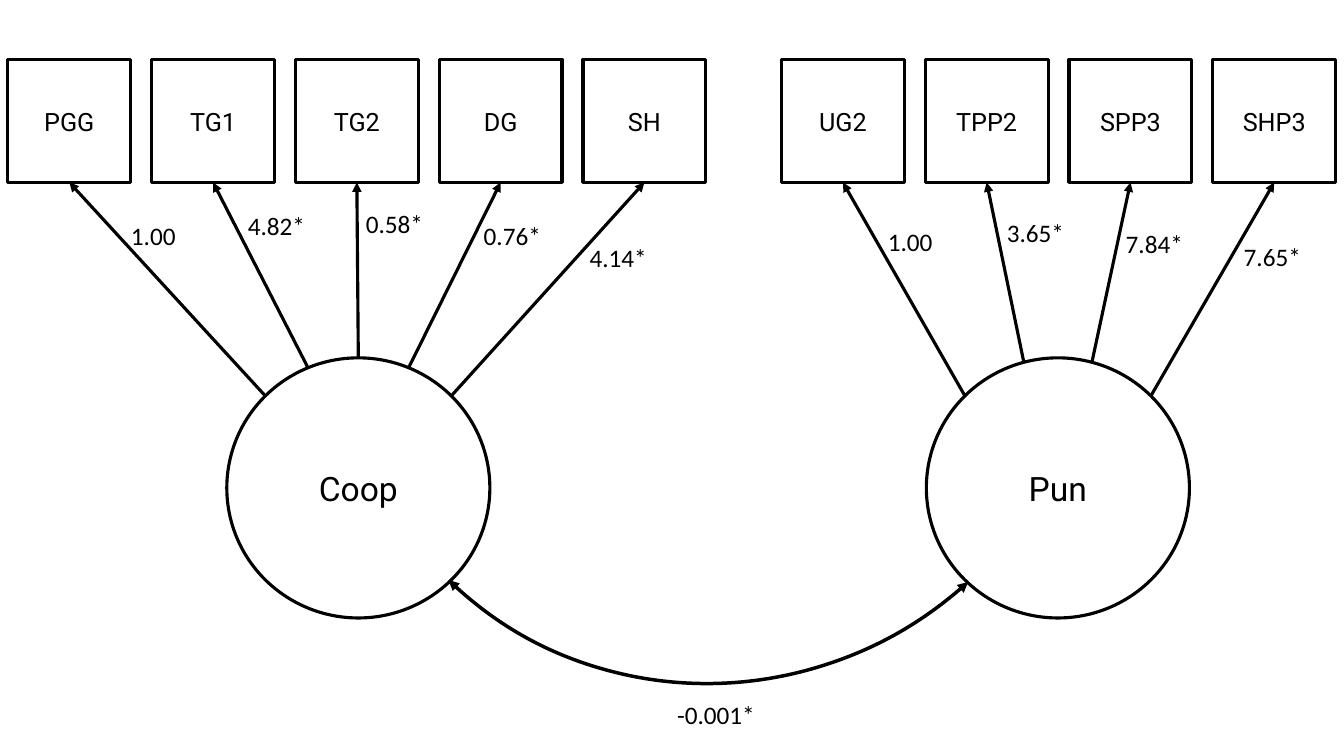
"""Build a two-factor path diagram of cooperation and punishment games."""
from math import cos, radians, sin

from pptx import Presentation
from pptx.dml.color import RGBColor
from pptx.enum.shapes import MSO_CONNECTOR, MSO_SHAPE
from pptx.enum.text import MSO_ANCHOR, MSO_AUTO_SIZE, PP_ALIGN
from pptx.oxml.ns import qn
from pptx.util import Pt
from lxml import etree

BLACK = RGBColor(0x00, 0x00, 0x00)
WHITE = RGBColor(0xFF, 0xFF, 0xFF)
RECTANGLE, OVAL, ARC = MSO_SHAPE.RECTANGLE, MSO_SHAPE.OVAL, MSO_SHAPE.ARC
STRAIGHT = MSO_CONNECTOR.STRAIGHT
MIDDLE, CENTER = MSO_ANCHOR.MIDDLE, PP_ALIGN.CENTER
FIT_TEXT = MSO_AUTO_SIZE.SHAPE_TO_FIT_TEXT

BOX_TOP, BOX_SIZE, BOX_STEP = 42.5, 87.8, 102.7
CIRCLE_TOP, CIRCLE_WIDTH, CIRCLE_HEIGHT = 255.6, 187.9, 185.8

FACTORS = [
    ("Coop", 162, 5.6, [
        ("PGG", "1.00", 86.4, 154.1, 49),
        ("TG1", "4.82*", 169.9, 146.9, 56.2),
        ("TG2", "0.58*", 254.2, 145.4, 56.2),
        ("DG", "0.76*", 338.4, 154.1, 56.2),
        ("SH", "4.14*", 414, 169.2, 56.2),
    ]),
    ("Pun", 661.7, 558.2, [
        ("UG2", "1.00", 627.1, 158.4, 49),
        ("TPP2", "3.65*", 712.1, 151.9, 56.2),
        ("SPP3", "7.84*", 797, 159.8, 56.2),
        ("SHP3", "7.65*", 881.3, 168.5, 56.2),
    ]),
]


def add_node(kind, name, left, top, width, height, size):
    node = slide.shapes.add_shape(kind, Pt(left), Pt(top), Pt(width), Pt(height))
    node.shadow.inherit = False
    node.fill.solid()
    node.fill.fore_color.rgb = WHITE
    node.line.color.rgb = BLACK
    node.line.width = Pt(2.25)
    node.text_frame.vertical_anchor = MIDDLE
    para = node.text_frame.paragraphs[0]
    para.alignment = CENTER
    span = para.add_run()
    span.text = name
    span.font.name = "Roboto"
    span.font.size = Pt(size)
    span.font.color.rgb = BLACK
    return node


def style_arrow(arrow, weight, ends):
    arrow.line.color.rgb = BLACK
    arrow.line.width = Pt(weight)
    properties = arrow._element.spPr
    for end in ends:
        etree.SubElement(properties.find(qn("a:ln")), qn(end), type="triangle")
    if properties.find(qn("a:effectLst")) is None:
        etree.SubElement(properties, qn("a:effectLst"))


deck = Presentation()
deck.slide_width, deck.slide_height = Pt(960), Pt(540)
slide = deck.slides.add_slide(deck.slide_layouts[6])

labels = [("-0.001*", 476.6, 496.1, 70.6)]
for factor, circle_left, row_left, games in FACTORS:
    add_node(OVAL, factor, circle_left, CIRCLE_TOP, CIRCLE_WIDTH, CIRCLE_HEIGHT, 24)
    center_x = circle_left + CIRCLE_WIDTH / 2
    center_y = CIRCLE_TOP + CIRCLE_HEIGHT / 2
    for index, (game, loading, label_left, label_top, label_width) in enumerate(games):
        box = add_node(RECTANGLE, game, row_left + index * BOX_STEP, BOX_TOP,
                       BOX_SIZE, BOX_SIZE, 18)
        angle = radians(-45 + 90 * index / (len(games) - 1))
        start_x = center_x + CIRCLE_WIDTH / 2 * sin(angle)
        start_y = center_y - CIRCLE_HEIGHT / 2 * cos(angle)
        arrow = slide.shapes.add_connector(
            STRAIGHT, Pt(start_x), Pt(start_y), Pt(start_x), Pt(BOX_TOP + BOX_SIZE))
        arrow.end_connect(box, 2)
        style_arrow(arrow, 2.25, ["a:tailEnd"])
        labels.append((loading, label_left, label_top, label_width))

covariance = slide.shapes.add_shape(ARC, Pt(236.2), Pt(-52.6), Pt(551.5), Pt(537.1))
covariance.shadow.inherit = False
covariance.fill.background()
covariance.adjustments[0] = 164.43
covariance.adjustments[1] = 0
covariance.rotation = 134
style_arrow(covariance, 2.5, ["a:headEnd", "a:tailEnd"])

for value, left, top, width in labels:
    label = slide.shapes.add_textbox(Pt(left), Pt(top), Pt(width), Pt(29))
    label.text_frame.word_wrap = False
    label.text_frame.auto_size = FIT_TEXT
    span = label.text_frame.paragraphs[0].add_run()
    span.text = value
    span.font.name = "Calibri"
    span.font.size = Pt(18)
    span.font.color.rgb = BLACK

deck.save("out.pptx")
